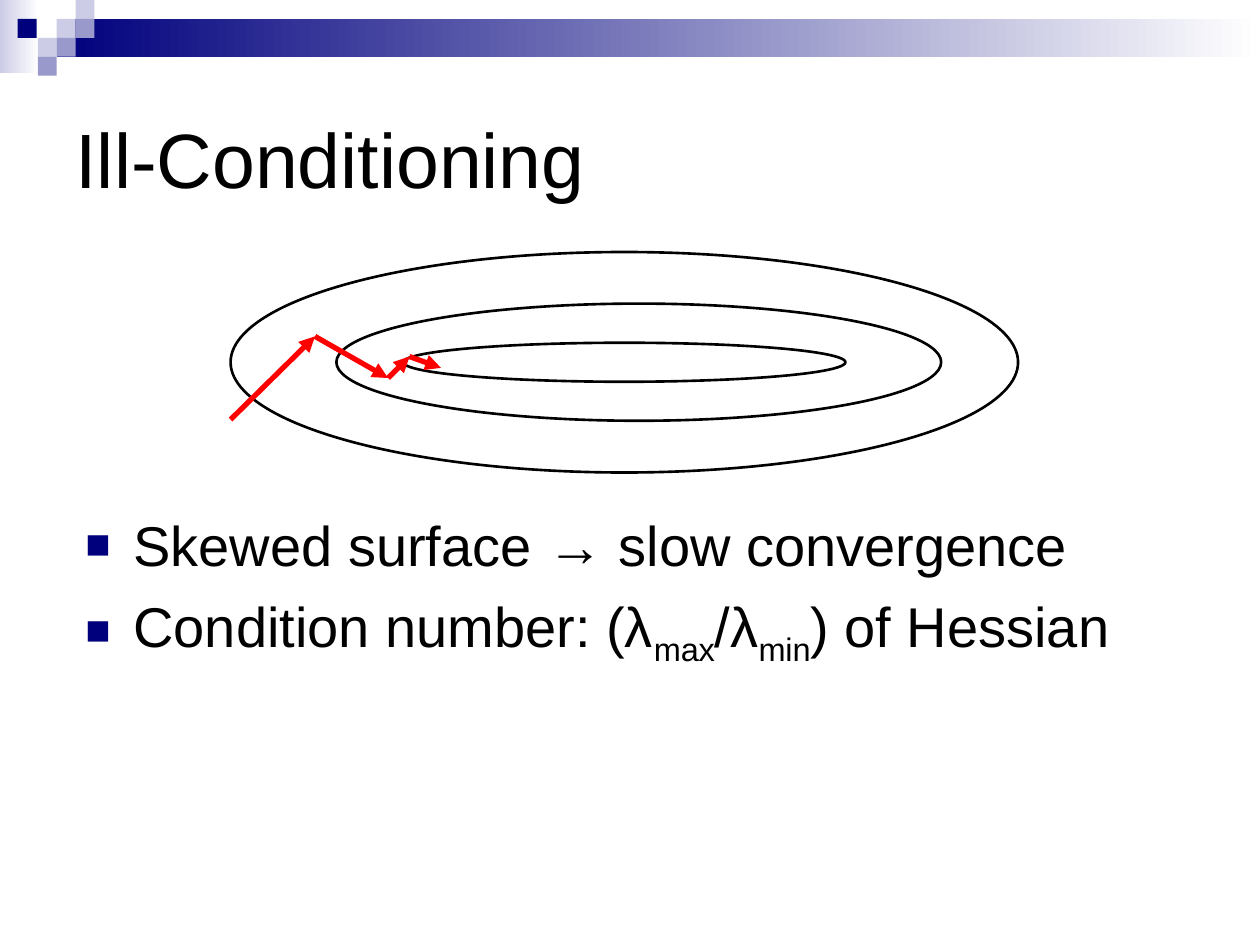
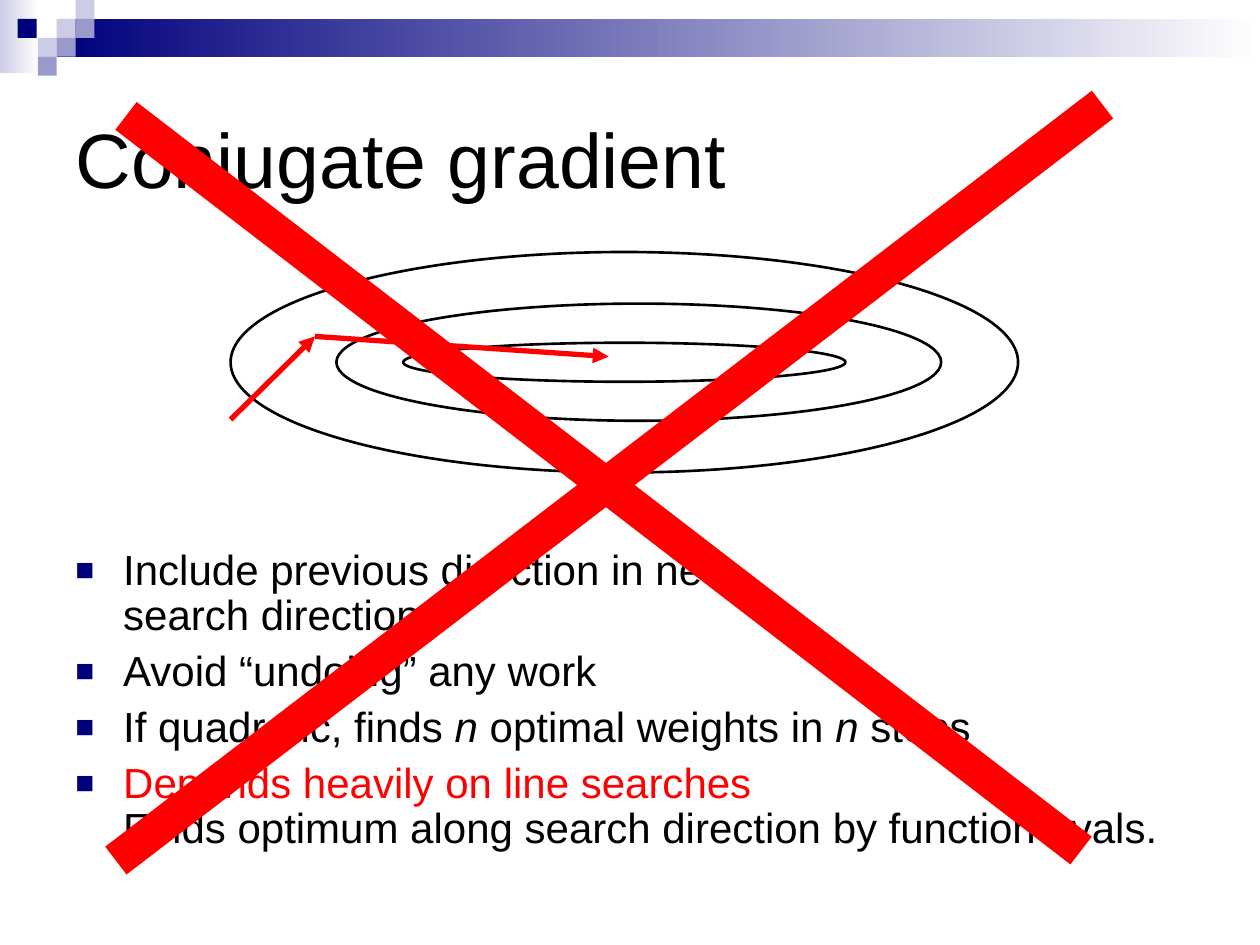
from itertools import pairwise

from lxml import etree
from pptx import Presentation
from pptx import util as u
from pptx.dml.color import RGBColor
from pptx.enum import shapes, text
from pptx.oxml.ns import qn

FONT = "Arial"
HUES = {"ink": "000000", "navy": "00007D", "mid": "9999CC",
        "pale": "CCCCE6", "white": "FFFFFF", "red": "FF0000"}

# Fading bands, then small squares: (left, top, ...)
BANDS = [((0, 0, 0.31, 0.58), "pale"), ((0.45, 0.15, 9.55, 0.3), "navy")]
TILE = 0.15
TILES = [(0.45, 0.15, "pale"), (0.6, 0, "pale"), (0.6, 0.15, "mid"),
         (0.3, 0.3, "pale"), (0.14, 0.15, "navy"), (0.45, 0.3, "mid"),
         (0.3, 0.45, "mid")]
RINGS = [(1.83, 2, 6.25, 1.75), (2.67, 2.41, 4.8, 0.93),
         (3.2, 2.72, 3.51, 0.31)]

# Each paragraph is a list of runs: (words, format)
SUB = {"base": -25}
ITAL = {"italic": True}
SLIDES = [
    {"title": "Ill-Conditioning",
     "box": (0.58, 4, 8.92, 3.08), "size": 32, "gap": 8, "lead": 1,
     "body": [
         [("Skewed surface → slow convergence", {})],
         [("Condition number: (λ", {}), ("max", SUB), ("/λ", {}),
          ("min", SUB), (") of Hessian", {})]],
     "trail": [(1.83, 3.33), (2.5, 2.67), (3.08, 3), (3.25, 2.83),
               (3.5, 2.92)],
     "cross": []},
    {"title": "Conjugate gradient",
     "box": (0.5, 4.31, 9, 2.52), "size": 24, "gap": 6, "lead": 0.9,
     "body": [
         [("Include previous direction in new\nsearch direction", {})],
         [("Avoid “undoing” any work", {})],
         [("If quadratic, finds ", {}), ("n", ITAL),
          (" optimal weights in ", {}), ("n", ITAL), (" steps", {})],
         [("Depends heavily on line searches\n", {"hue": "red"}),
          ("Finds optimum along search direction by function evals.", {})]],
     "trail": [(1.83, 3.33), (2.5, 2.67), (4.83, 2.83)],
     "cross": [((0.92, 6.83), (8.75, 0.83)), ((8.58, 6.75), (1, 0.92))]},
]


def rgb(hue):
    return RGBColor.from_string(HUES[hue])


def inch(nums):
    return [u.Inches(n) for n in nums]


def place(shape, box):
    shape.left, shape.top, shape.width, shape.height = inch(box)


def write(para, words, size=24, hue="ink", italic=False, base=0):
    """Add words to a paragraph; a newline becomes a line break."""
    for i, part in enumerate(words.split("\n")):
        if i:
            para.add_line_break()
        if not part:
            continue
        run = para.add_run()
        run.text = part
        font = run.font
        font.name, font.size, font.italic = FONT, u.Pt(size), italic
        font.color.rgb = rgb(hue)
        if base:
            font._element.set("baseline", str(base * 1000))


def bullet(para):
    props = para._p.get_or_add_pPr()
    props.set("marL", str(u.Inches(0.38)))
    props.set("indent", str(-u.Inches(0.38)))
    tint = etree.SubElement(props, qn("a:buClr"))
    etree.SubElement(tint, qn("a:srgbClr"), val=HUES["navy"])
    etree.SubElement(props, qn("a:buSzPct"), val="75000")
    etree.SubElement(props, qn("a:buFont"), typeface=FONT)
    etree.SubElement(props, qn("a:buChar"), char="■")


def shape(slide, kind, box):
    item = slide.shapes.add_shape(kind, *inch(box))
    item.shadow.inherit = False
    return item


def decor(slide):
    rect = shapes.MSO_SHAPE.RECTANGLE
    for box, hue in BANDS:
        band = shape(slide, rect, box)
        band.line.fill.background()
        band.fill.gradient()
        band.fill.gradient_angle = 0
        for stop, tone in zip(band.fill.gradient_stops, (hue, "white")):
            stop.color.rgb = rgb(tone)
    for left, top, hue in TILES:
        tile = shape(slide, rect, (left, top, TILE, TILE))
        tile.line.fill.background()
        tile.fill.solid()
        tile.fill.fore_color.rgb = rgb(hue)


def stroke(slide, start, end, width, head=False):
    line = slide.shapes.add_connector(shapes.MSO_CONNECTOR.STRAIGHT,
                                      *inch(start + end))
    line.line.color.rgb = rgb("red")
    line.line.width = u.Pt(width)
    if head:
        etree.SubElement(line.line._get_or_add_ln(), qn("a:tailEnd"),
                         type="triangle")
    etree.SubElement(line._element.spPr, qn("a:effectLst"))


def frame(item, anchor):
    area = item.text_frame
    area.word_wrap = True
    area.auto_size = text.MSO_AUTO_SIZE.NONE
    area.vertical_anchor = anchor
    return area


def build(deck, data):
    slide = deck.slides.add_slide(deck.slide_layouts[5])
    decor(slide)

    title = slide.shapes.title
    place(title, (0.5, 0.5, 9, 1.5))
    head = frame(title, text.MSO_ANCHOR.MIDDLE).paragraphs[0]
    head.alignment = text.PP_ALIGN.LEFT
    write(head, data["title"], size=44)

    box = slide.shapes.add_textbox(*inch(data["box"]))
    area = frame(box, text.MSO_ANCHOR.TOP)
    for i, runs in enumerate(data["body"]):
        para = area.add_paragraph() if i else area.paragraphs[0]
        para.line_spacing = data["lead"]
        para.space_before = u.Pt(data["gap"] if i else 0)
        bullet(para)
        for words, style in runs:
            write(para, words, size=data["size"], **style)

    for ring in RINGS:
        oval = shape(slide, shapes.MSO_SHAPE.OVAL, ring)
        oval.fill.background()
        oval.line.color.rgb = rgb("ink")
        oval.line.width = u.Pt(1.5)
    for start, end in pairwise(data["trail"]):
        stroke(slide, start, end, 3, head=True)
    for start, end in data["cross"]:
        stroke(slide, start, end, 20)


def main():
    deck = Presentation()
    deck.slide_width, deck.slide_height = inch((10, 7.5))
    for data in SLIDES:
        build(deck, data)
    deck.save("out.pptx")


if __name__ == "__main__":
    main()
